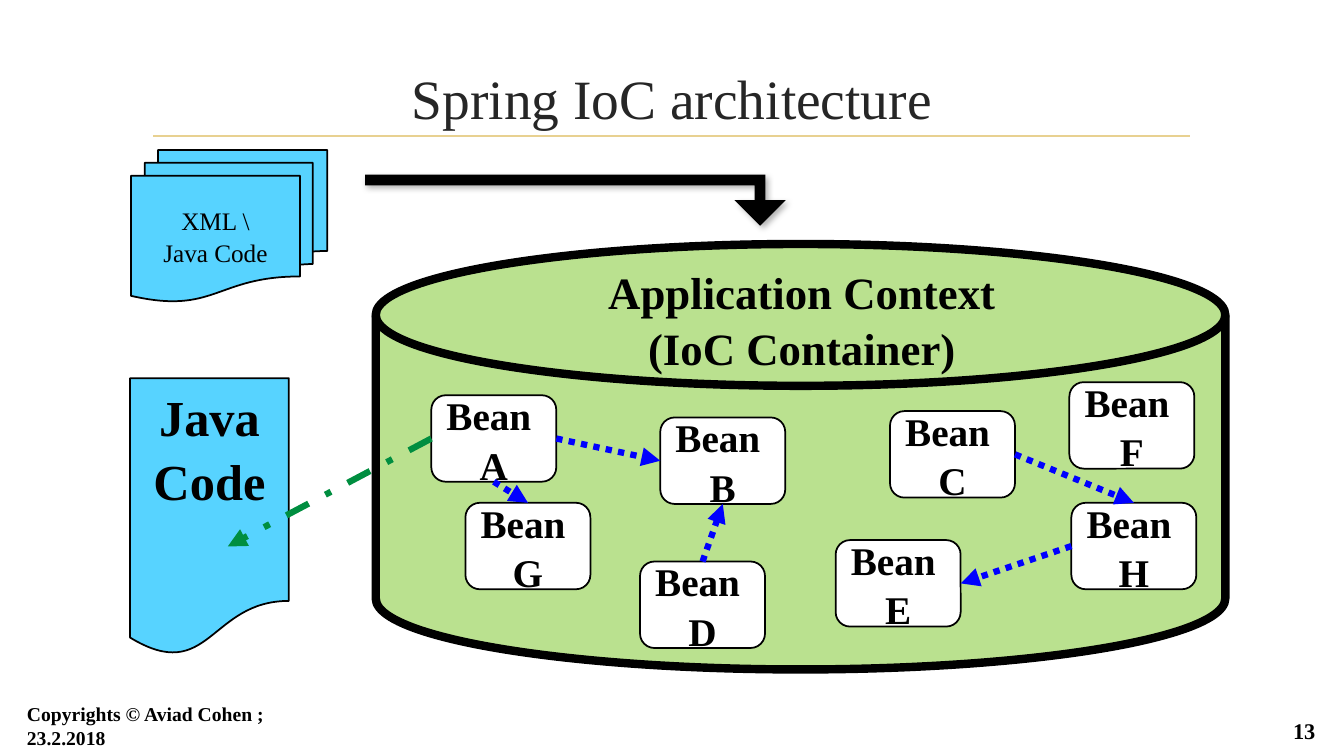
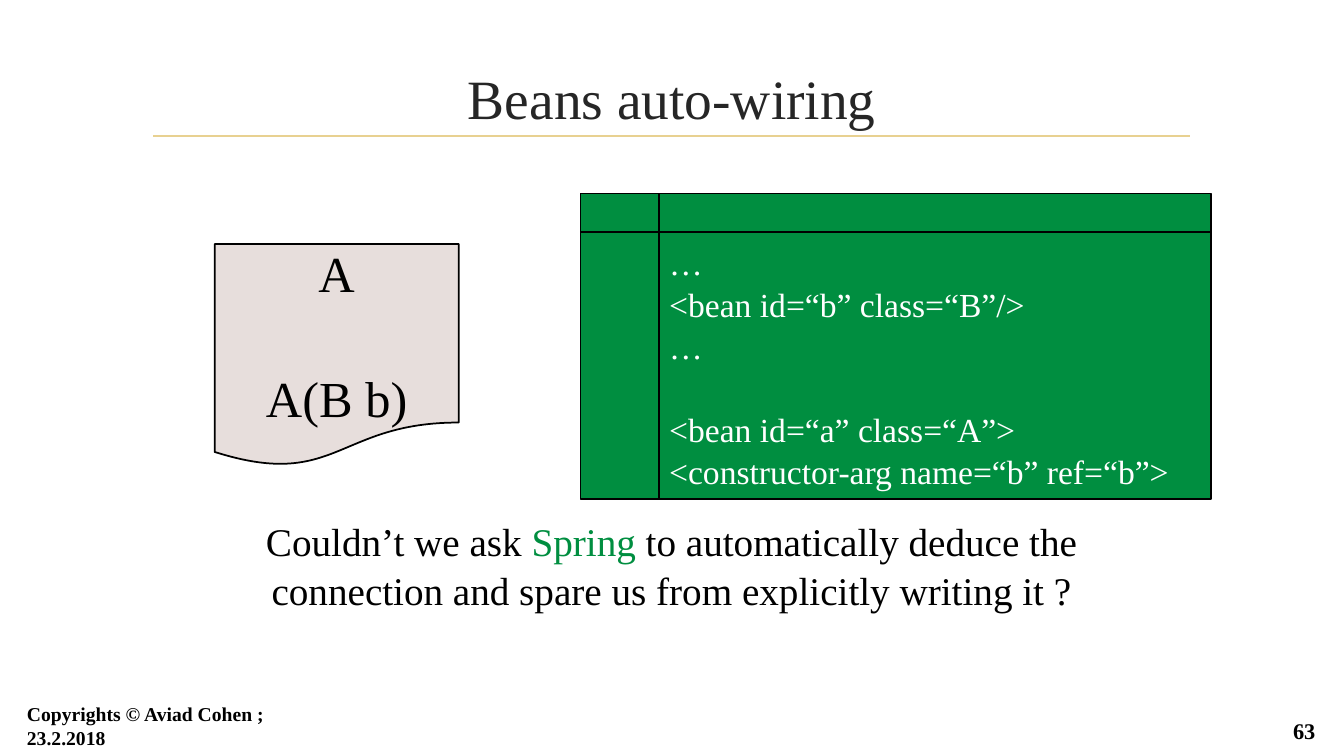
from dataclasses import dataclass

from pptx import Presentation
from pptx.dml.color import RGBColor
from pptx.enum.dml import MSO_LINE
from pptx.enum.shapes import MSO_CONNECTOR, MSO_SHAPE
from pptx.enum.text import MSO_ANCHOR, PP_ALIGN
from pptx.oxml.ns import qn
from pptx.util import Cm, Pt
from lxml import etree

LEFT, CENTER, RIGHT = PP_ALIGN.LEFT, PP_ALIGN.CENTER, PP_ALIGN.RIGHT
TOP, MIDDLE = MSO_ANCHOR.TOP, MSO_ANCHOR.MIDDLE
DOTS, DASH_DOT = MSO_LINE.ROUND_DOT, MSO_LINE.DASH_DOT
DOCUMENT = MSO_SHAPE.FLOWCHART_DOCUMENT
STRAIGHT = MSO_CONNECTOR.STRAIGHT
TOP_SITE, LEFT_SITE, BOTTOM_SITE, RIGHT_SITE = range(4)


@dataclass(frozen=True)
class Theme:
    font: str = "Times New Roman"
    ink: str = "000000"
    title_ink: str = "262626"
    white: str = "FFFFFF"
    rule: str = "E8D191"
    container: str = "BAE18F"
    source: str = "57D3FF"
    paper: str = "E7DEDC"
    green: str = "008E40"
    link: str = "0000FF"
    title_size: float = 39.6
    large: int = 36
    heading: int = 32
    body: int = 28
    code: int = 24
    label: int = 18
    page_size: int = 16
    footer_size: int = 14
    outline: float = 1.25
    thick: float = 4.5
    heavy: float = 6
    spacing: float = 1.05


T = Theme()


def add_box(slide, box, text="", kind=None, fill=None, line=T.ink, weight=T.outline,
            size=T.body, color=T.ink, bold=False, align=CENTER, anchor=MIDDLE,
            spacing=T.spacing, highlight=None, gaps=None):
    """Add a shape, or a text box when kind is None; gaps maps paragraph index to points before."""
    box = [Cm(v) for v in box]
    if kind is None:
        sp = slide.shapes.add_textbox(*box)
    else:
        sp = slide.shapes.add_shape(kind, *box)
        sp.shadow.inherit = False
        sp.fill.solid()
        sp.fill.fore_color.rgb = RGBColor.from_string(fill)
        if line:
            sp.line.color.rgb = RGBColor.from_string(line)
            sp.line.width = Pt(weight)
        else:
            sp.line.fill.background()
    tf = sp.text_frame
    tf.word_wrap = True
    tf.vertical_anchor = anchor
    for i, row in enumerate(text.split("\n") if text else []):
        p = tf.add_paragraph() if i else tf.paragraphs[0]
        p.alignment = align
        p.line_spacing = spacing
        if gaps and i in gaps:
            p.space_before = Pt(gaps[i])
        for part in row.partition(highlight) if highlight else [row]:
            r = p.add_run()
            r.text = part
            r.font.name, r.font.size, r.font.bold = T.font, Pt(size), bold
            r.font.color.rgb = RGBColor.from_string(T.green if part == highlight else color)
    return sp


def add_line(slide, start, end, color, weight, dash=None):
    """Add a straight line; a dashed one is a link and ends in an arrowhead."""
    cn = slide.shapes.add_connector(STRAIGHT, *[Cm(v) for v in (*start, *end)])
    cn.line.color.rgb = RGBColor.from_string(color)
    cn.line.width = Pt(weight)
    spPr = cn._element.spPr
    if dash:
        cn.line.dash_style = dash
        etree.SubElement(spPr.find(qn("a:ln")), qn("a:tailEnd"), type="triangle")
    etree.SubElement(spPr, qn("a:effectLst"))
    return cn


prs = Presentation()
prs.slide_width, prs.slide_height = Cm(33.87), Cm(19.05)

# Title, rule and footer on every slide
slides = []
for title, page in (("Spring IoC architecture", "13"), ("Beans auto-wiring", "63")):
    s = prs.slides.add_slide(prs.slide_layouts[6])
    add_line(s, (3.86, 3.43), (30, 3.43), T.rule, T.outline)
    add_box(s, (3.6, 1.73, 26.67, 1.45), title, size=T.title_size, color=T.title_ink, spacing=1)
    add_box(s, (31.9, 18, 1.5, 0.8), page, size=T.page_size, bold=True, align=RIGHT, spacing=1)
    add_box(s, (0.43, 17.88, 8.5, 0.8), "Copyrights © Aviad Cohen ; 23.2.2018",
            size=T.footer_size, bold=True, align=LEFT, spacing=1)
    slides.append(s)
architecture, wiring = slides

# Architecture: container, beans and sources
add_box(architecture, (9.47, 6.15, 21.41, 10.72), kind=MSO_SHAPE.FLOWCHART_MAGNETIC_DISK,
        fill=T.container, weight=T.heavy)
add_box(architecture, (14.99, 6.48, 10.44, 3), "Application Context\n(IoC Container)",
        size=T.heading, bold=True, anchor=TOP)

bean_places = {
    "A": (10.87, 9.96), "B": (16.64, 10.52), "C": (22.43, 10.36), "D": (16.13, 14.15),
    "E": (21.06, 13.61), "H": (27, 12.67), "G": (11.73, 12.67), "F": (26.95, 9.63),
}
beans = {
    name: add_box(architecture, (*place, 3.15, 2.18), f"Bean \n{name}",
                  MSO_SHAPE.ROUNDED_RECTANGLE, T.white, bold=True)
    for name, place in bean_places.items()
}
for start, start_site, end, end_site in (
    ("A", RIGHT_SITE, "B", LEFT_SITE),
    ("A", BOTTOM_SITE, "G", TOP_SITE),
    ("D", TOP_SITE, "B", BOTTOM_SITE),
    ("C", RIGHT_SITE, "H", TOP_SITE),
    ("H", LEFT_SITE, "E", RIGHT_SITE),
):
    cn = add_line(architecture, bean_places[start], bean_places[end], T.link, T.thick, DOTS)
    cn.begin_connect(beans[start], start_site)
    cn.end_connect(beans[end], end_site)

add_box(architecture, (3.3, 3.78, 4.95, 3.82), "XML \\\nJava Code",
        MSO_SHAPE.FLOWCHART_MULTIDOCUMENT, T.source, size=T.label)
add_box(architecture, (3.28, 9.53, 4, 7), "Java Code", DOCUMENT, T.source,
        size=T.large, bold=True, anchor=TOP)
cn = add_line(architecture, bean_places["A"], (5.74, 13.77), T.green, T.thick, DASH_DOT)
cn.begin_connect(beans["A"], LEFT_SITE)

arrow = add_box(architecture, (9.2, 4.4, 10.6, 1.29), kind=MSO_SHAPE.BENT_UP_ARROW,
                fill=T.ink, line=None)
for i, value in enumerate((0.21, 0.5, 0.5)):
    arrow.adjustments[i] = value
spPr = arrow._element.spPr
spPr.find(qn("a:xfrm")).set("flipV", "1")
shadow = etree.SubElement(spPr.find(qn("a:effectLst")), qn("a:outerShdw"),
                          blurRad=str(Pt(4.5)), dist=str(Pt(2.6)), dir=str(53 * 60000))
shade = etree.SubElement(shadow, qn("a:srgbClr"), val=T.ink)
etree.SubElement(shade, qn("a:alpha"), val="30000")

# Auto-wiring: class, configuration and question
add_box(wiring, (5.41, 6.15, 6.15, 5.61), "A\nA(B b)", DOCUMENT, T.paper,
        size=T.large, gaps={1: 43.5})
add_box(wiring, (14.63, 4.88, 15.88, 7.7),
        "…\n<bean id=“b” class=“B”/>\n…\n<bean id=“a” class=“A”>\n"
        "<constructor-arg name=“b” ref=“b”>",
        MSO_SHAPE.FLOWCHART_INTERNAL_STORAGE, T.green, size=T.code, color=T.white,
        align=LEFT, gaps={3: 29})
add_box(wiring, (4.24, 12.85, 25.37, 2.64),
        "Couldn’t we ask Spring to automatically deduce the connection "
        "and spare us from explicitly writing it ?", anchor=TOP, highlight="Spring")

prs.save("out.pptx")
